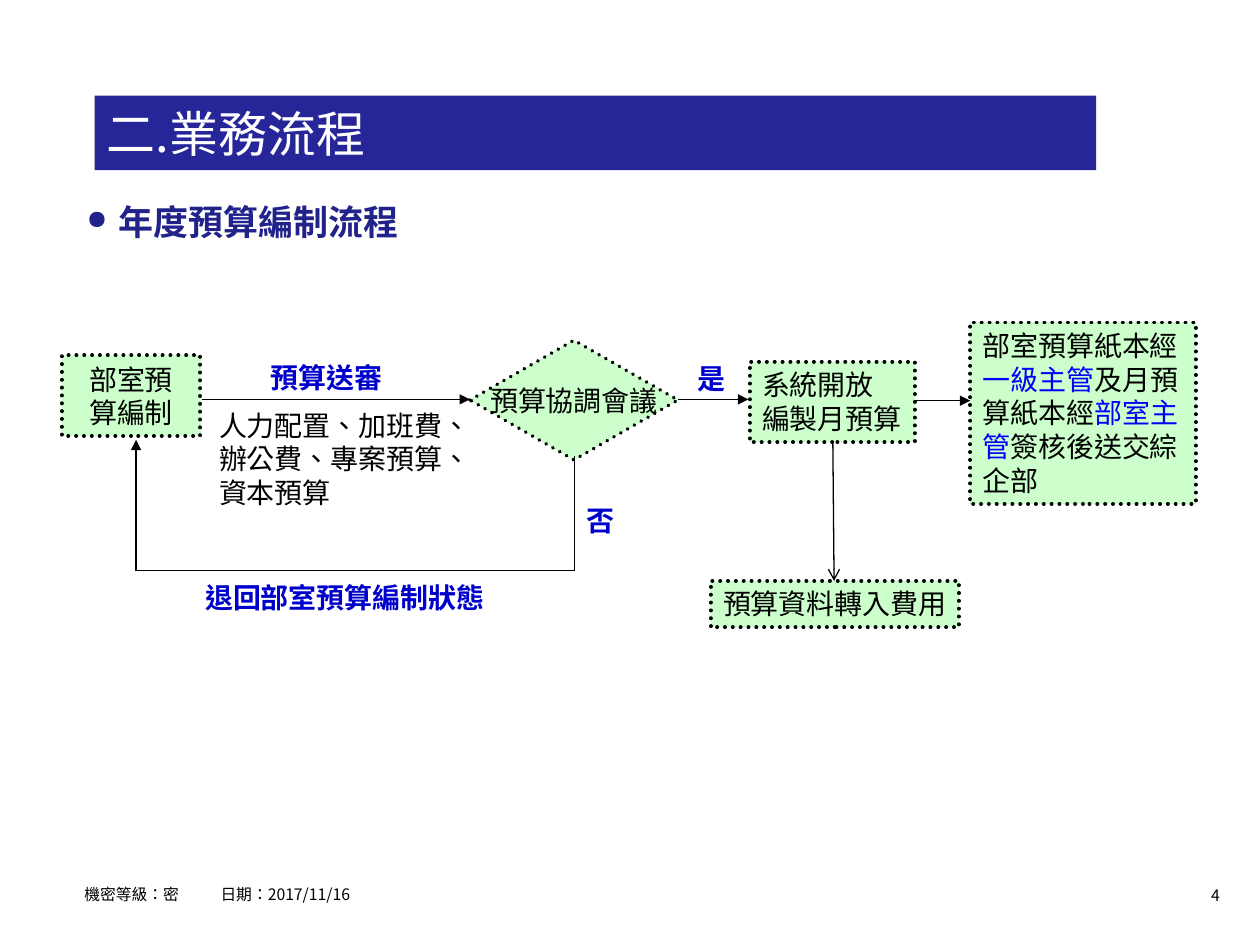
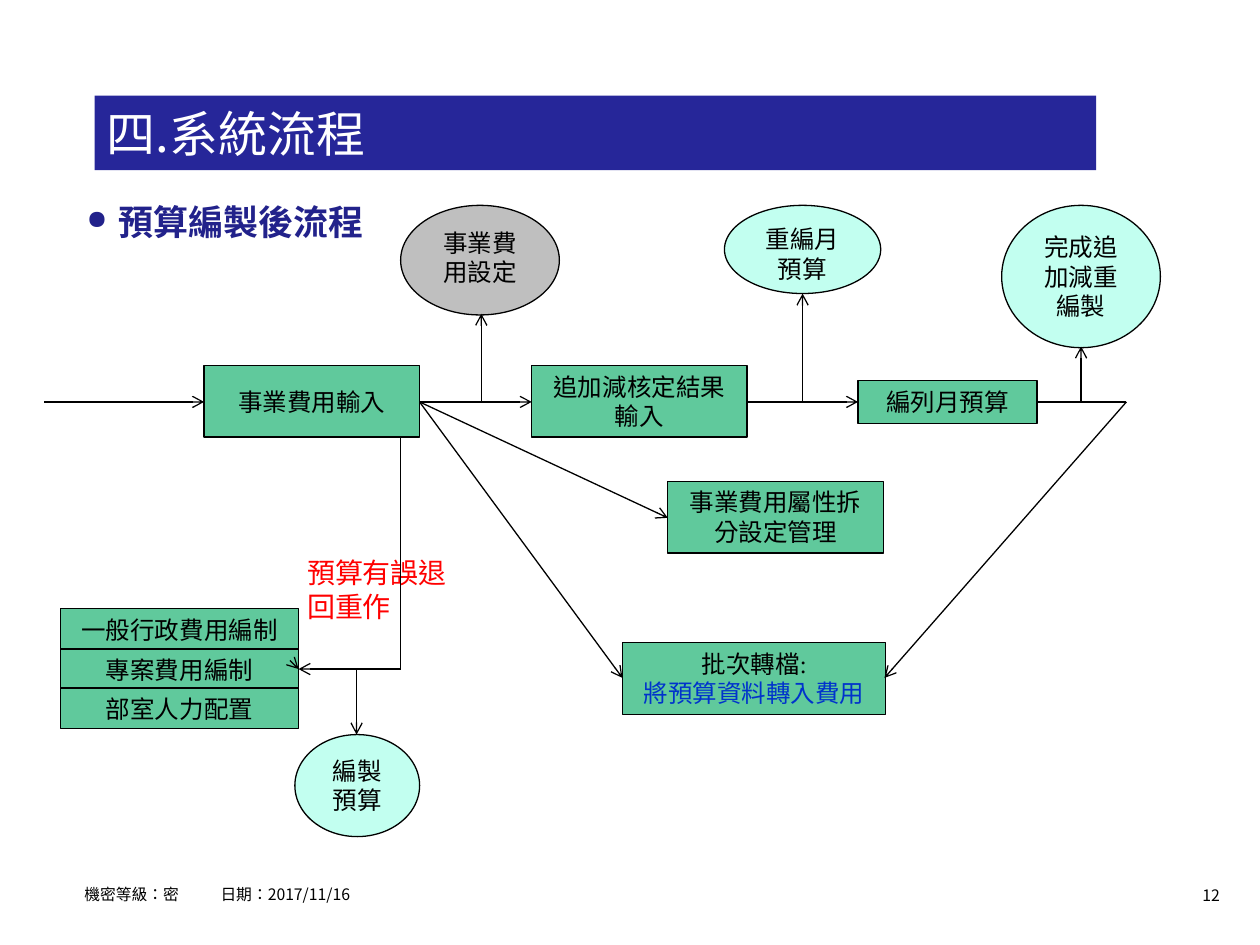
"""Build two budget process flow slides."""
from dataclasses import dataclass, replace
from typing import NamedTuple

import pptx
import pptx.dml.color
import pptx.enum.dml
import pptx.enum.shapes
import pptx.enum.text
import pptx.oxml
import pptx.oxml.ns
import pptx.util
from lxml import etree

RGBColor = pptx.dml.color.RGBColor
Inches = pptx.util.Inches
Shape = pptx.enum.shapes.MSO_SHAPE
Align = pptx.enum.text.PP_ALIGN
Anchor = pptx.enum.text.MSO_ANCHOR
qn = pptx.oxml.ns.qn

BLACK = RGBColor(0x00, 0x00, 0x00)
WHITE = RGBColor(0xFF, 0xFF, 0xFF)
BAND = RGBColor(0x26, 0x26, 0x99)
HEADING = RGBColor(0x22, 0x22, 0x8B)
LABEL = RGBColor(0x00, 0x00, 0xCC)
ROLE = RGBColor(0x00, 0x00, 0xFF)
TRANSFER = RGBColor(0x00, 0x33, 0xCC)
WARNING = RGBColor(0xFF, 0x00, 0x00)
PALE_GREEN = RGBColor(0xCC, 0xFF, 0xCC)
GREEN = RGBColor(0x60, 0xC9, 0x9C)
AQUA = RGBColor(0xC2, 0xFF, 0xF0)
GRAY = RGBColor(0xBF, 0xBF, 0xBF)

SANS = "Noto Sans CJK SC"
SERIF = "Times New Roman"


@dataclass(frozen=True)
class Style:
    """Look of a box and its text."""
    size: float = 16
    color: RGBColor = BLACK
    bold: bool = False
    font: str = SANS
    align: Align = Align.LEFT
    anchor: Anchor = Anchor.TOP
    wrap: bool = True
    fill: RGBColor | None = None
    border: float = 0
    dotted: bool = False
    shape: Shape = Shape.RECTANGLE


class Span(NamedTuple):
    """Text with its own colour."""
    text: str
    color: RGBColor


class Node(NamedTuple):
    """Box with paragraphs, each a string or a tuple of spans."""
    left: float
    top: float
    width: float
    height: float
    style: Style
    paras: tuple


class Link(NamedTuple):
    """Straight line with an optional arrowhead at its end."""
    x1: float
    y1: float
    x2: float
    y2: float
    head: str = ""


class Flow(NamedTuple):
    """Content of one slide."""
    number: str
    title: str
    heading: str
    nodes: list[Node]
    links: list[Link]


TITLE = Style(size=28, color=WHITE, fill=BAND, anchor=Anchor.MIDDLE)
TOPIC = Style(size=20, color=HEADING, bold=True)
FOOTER = Style(size=9)
NUMBER = replace(FOOTER, align=Align.RIGHT)
STEP = Style(fill=PALE_GREEN, border=2.25, dotted=True)
TIGHT_STEP = replace(STEP, wrap=False)
CENTER_STEP = replace(STEP, align=Align.CENTER, anchor=Anchor.MIDDLE)
DECISION = replace(CENTER_STEP, wrap=False, shape=Shape.DIAMOND)
NOTE = Style(wrap=False)
CAPTION = replace(NOTE, color=LABEL, bold=True)
ALERT = Style(color=WARNING)
TASK = Style(size=14, font=SERIF, align=Align.CENTER, fill=GREEN, border=0.75)
ENTRY = replace(TASK, anchor=Anchor.MIDDLE)
ITEM = replace(TASK, font=SANS)
STATE = replace(ITEM, fill=AQUA, shape=Shape.OVAL)
SETTING = replace(STATE, fill=GRAY)


def add_span(para, text: str, style: Style, color: RGBColor) -> None:
    """Add one formatted run to a paragraph."""
    span = para.add_run()
    span.text = text
    span.font.size = pptx.util.Pt(style.size)
    span.font.bold = style.bold
    span.font.color.rgb = color
    span.font.name = style.font
    span.font._element.set("lang", "zh-TW")
    etree.SubElement(span.font._element, qn("a:ea"), typeface=SANS)


def draw_node(page, node: Node):
    """Draw a box and return it."""
    style = node.style
    place = [Inches(value) for value in node[:4]]
    if style.fill is None:
        box = page.shapes.add_textbox(*place)
    else:
        box = page.shapes.add_shape(style.shape, *place)
        box.shadow.inherit = False
        box.fill.solid()
        box.fill.fore_color.rgb = style.fill
        if style.border:
            box.line.color.rgb = BLACK
            box.line.width = pptx.util.Pt(style.border)
        else:
            box.line.fill.background()
        if style.dotted:
            box.line.dash_style = pptx.enum.dml.MSO_LINE.ROUND_DOT
            box.element.spPr.find(qn("a:ln")).set("cap", "rnd")
    frame = box.text_frame
    frame.word_wrap = style.wrap
    if style.fill is None and not style.wrap:
        frame.auto_size = pptx.enum.text.MSO_AUTO_SIZE.SHAPE_TO_FIT_TEXT
    frame.vertical_anchor = style.anchor
    for index, content in enumerate(node.paras):
        para = frame.add_paragraph() if index else frame.paragraphs[0]
        para.alignment = style.align
        spans = (Span(content, style.color),) if isinstance(content, str) else content
        for span in spans:
            add_span(para, span.text, style, span.color)
    return box


def draw_link(page, link: Link) -> None:
    """Draw a thin black line or arrow."""
    line = page.shapes.add_connector(
        pptx.enum.shapes.MSO_CONNECTOR.STRAIGHT, *(Inches(value) for value in link[:4]))
    line.line.color.rgb = BLACK
    line.line.width = pptx.util.Pt(0.75)
    properties = line.element.spPr
    if link.head:
        etree.SubElement(properties.find(qn("a:ln")), qn("a:tailEnd"), type=link.head)
    etree.SubElement(properties, qn("a:effectLst"))


def draw_heading(page, text: str) -> None:
    """Draw the bulleted heading."""
    box = draw_node(page, Node(0.59, 1.54, 8.74, 0.5, TOPIC, (text,)))
    properties = box.text_frame.paragraphs[0]._p.get_or_add_pPr()
    properties.set("marL", str(Inches(0.25)))
    properties.set("indent", str(Inches(-0.25)))
    color = etree.SubElement(properties, qn("a:buClr"))
    etree.SubElement(color, qn("a:srgbClr"), val=str(HEADING))
    etree.SubElement(properties, qn("a:buSzPct"), val="75000")
    etree.SubElement(properties, qn("a:buChar"), char="●")


def draw_footer(page, number: str) -> None:
    """Draw the footer line and the page number."""
    box = draw_node(page, Node(0.67, 6.9, 7.42, 0.31, FOOTER,
                               ("機密等級：密\t日期：2017/11/16",)))
    box.text_frame.margin_left = 0
    para = box.text_frame.paragraphs[0]
    tabs = etree.SubElement(para._p.get_or_add_pPr(), qn("a:tabLst"))
    etree.SubElement(tabs, qn("a:tab"), pos=str(Inches(1.08)), algn="l")
    para.line_spacing = 1.5
    draw_node(page, Node(9.1, 6.98, 0.68, 0.25, NUMBER, (number,)))


def draw_flow(deck, flow: Flow) -> None:
    """Add one slide with its shared parts and its diagram."""
    page = deck.slides.add_slide(deck.slide_layouts[6])
    draw_node(page, Node(0.75, 0.76, 7.95, 0.59, TITLE, (flow.title,)))
    draw_heading(page, flow.heading)
    for node in flow.nodes:
        draw_node(page, node)
    for link in flow.links:
        draw_link(page, link)
    draw_footer(page, flow.number)


BUSINESS = Flow(
    "4", "二.業務流程", "年度預算編制流程",
    [
        Node(5.64, 4.61, 1.97, 0.37, TIGHT_STEP, ("預算資料轉入費用",)),
        Node(5.95, 2.87, 1.31, 0.64, TIGHT_STEP, ("系統開放", "編製月預算")),
        Node(0.49, 2.82, 1.1, 0.64, CENTER_STEP, ("部室預 算編制",)),
        Node(2.05, 2.81, 1.12, 0.37, CAPTION, ("預算送審",)),
        Node(1.64, 3.19, 2.19, 0.9, NOTE,
             ("人力配置、加班費、", "辦公費、專案預算、", "資本預算")),
        Node(3.73, 2.7, 1.65, 0.95, DECISION, ("預算協調會議",)),
        Node(4.56, 3.95, 0.42, 0.37, CAPTION, ("否",)),
        Node(1.53, 4.56, 2.45, 0.37, CAPTION, ("退回部室預算編制狀態",)),
        Node(5.44, 2.82, 0.42, 0.37, CAPTION, ("是",)),
        Node(7.7, 2.56, 1.79, 1.44, STEP, ((
            Span("部室預算紙本經", BLACK), Span("一級主管", ROLE),
            Span("及月預算紙本經", BLACK), Span("部室主管", ROLE),
            Span("簽核後送交綜企部", BLACK)),)),
    ],
    [
        Link(1.6, 3.17, 3.73, 3.17, "triangle"),
        Link(4.56, 3.62, 4.56, 4.53),
        Link(4.56, 4.53, 1.08, 4.53),
        Link(1.08, 4.53, 1.08, 3.49, "triangle"),
        Link(5.38, 3.17, 5.94, 3.17, "triangle"),
        Link(7.27, 3.18, 7.7, 3.18, "triangle"),
        Link(6.61, 3.51, 6.62, 4.61, "arrow"),
    ],
)

AXIS = 3.19
RETURN = 5.31

SYSTEM = Flow(
    "12", "四.系統流程", "預算編製後流程",
    [
        Node(1.62, 2.9, 1.71, 0.57, ENTRY, ("事業費用輸入",)),
        Node(2.34, 4.36, 1.34, 0.64, ALERT, ("預算有誤退回重作",)),
        Node(4.22, 2.9, 1.71, 0.57, TASK, ("追加減核定結果輸入",)),
        Node(6.81, 3.02, 1.42, 0.34, TASK, ("編列月預算",)),
        Node(5.3, 3.82, 1.71, 0.57, TASK, ("事業費用屬性拆分設定管理",)),
        Node(0.48, 4.83, 1.89, 0.34, ITEM, ("一般行政費用編制",)),
        Node(0.48, 5.15, 1.89, 0.31, ITEM, ("專案費用編制",)),
        Node(0.48, 5.46, 1.89, 0.32, ITEM, ("部室人力配置",)),
        Node(3.18, 1.63, 1.26, 0.87, SETTING, ("事業費用設定",)),
        Node(5.75, 1.63, 1.24, 0.7, STATE, ("重編月預算",)),
        Node(7.95, 1.63, 1.26, 1.13, STATE, ("完成追加減重編製",)),
        Node(2.34, 5.83, 0.99, 0.81, STATE, ("編製預算",)),
        Node(4.94, 5.1, 2.09, 0.57, TASK,
             ("批次轉檔:", (Span("將預算資料轉入費用", TRANSFER),))),
    ],
    [
        Link(0.35, AXIS, 1.62, AXIS, "arrow"),
        Link(3.33, AXIS, 4.22, AXIS, "arrow"),
        Link(5.93, AXIS, 6.81, AXIS, "arrow"),
        Link(8.23, AXIS, 8.94, AXIS),
        Link(3.82, AXIS, 3.82, 2.49, "arrow"),
        Link(6.37, AXIS, 6.37, 2.33, "arrow"),
        Link(8.58, AXIS, 8.58, 2.75, "arrow"),
        Link(3.33, AXIS, 5.3, 4.11, "arrow"),
        Link(3.33, AXIS, 4.94, 5.38, "arrow"),
        Link(8.94, AXIS, 7.02, 5.38, "arrow"),
        Link(3.18, 3.48, 3.18, RETURN),
        Link(3.18, RETURN, 2.37, RETURN, "arrow"),
        Link(2.36, 5.3, 2.37, RETURN, "arrow"),
        Link(2.83, RETURN, 2.83, 5.83, "arrow"),
    ],
)


def main() -> None:
    """Build and save the deck."""
    deck = pptx.Presentation()
    deck.slide_width = Inches(10)
    deck.slide_height = Inches(7.5)
    for flow in (BUSINESS, SYSTEM):
        draw_flow(deck, flow)
    deck.save("out.pptx")


if __name__ == "__main__":
    main()
